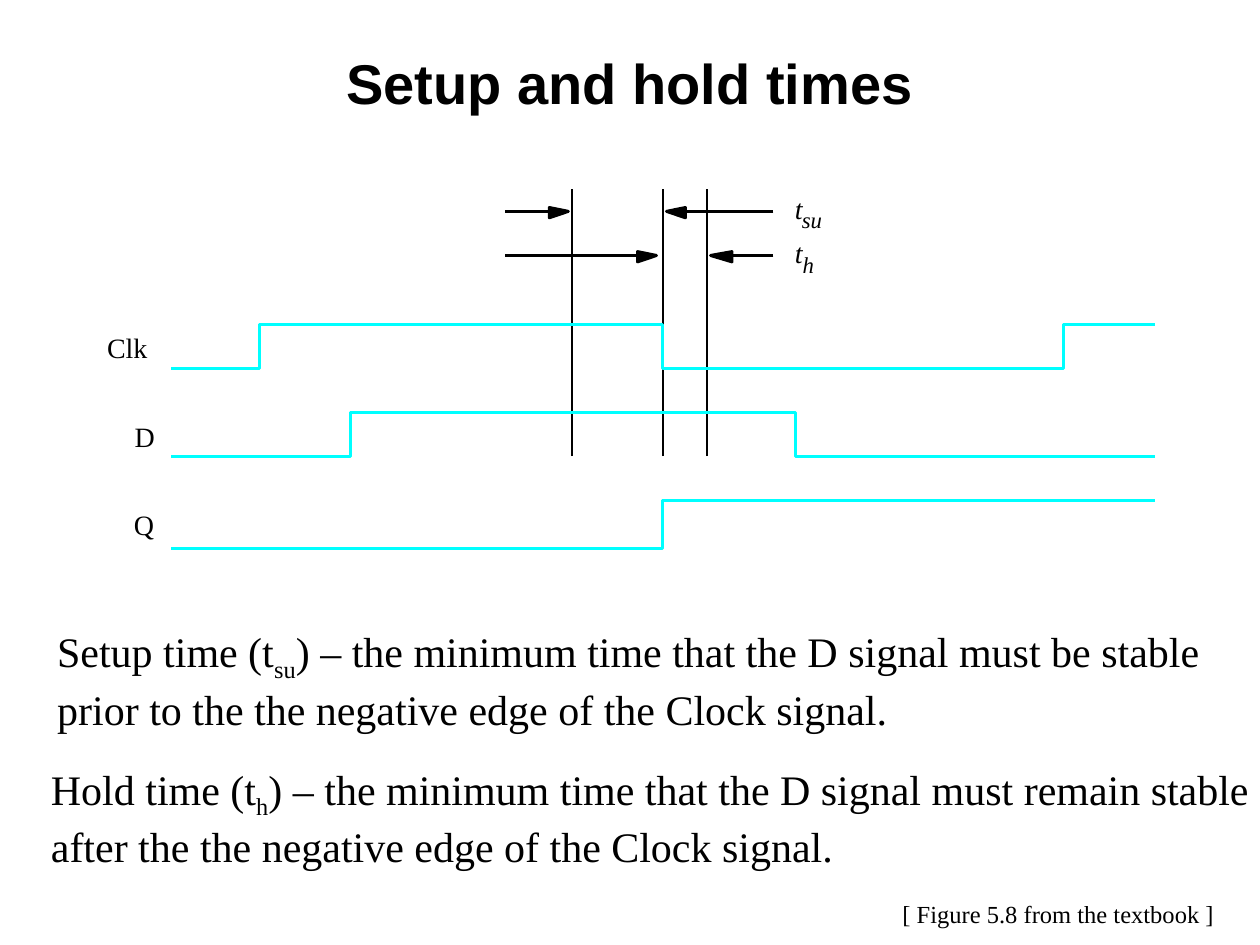
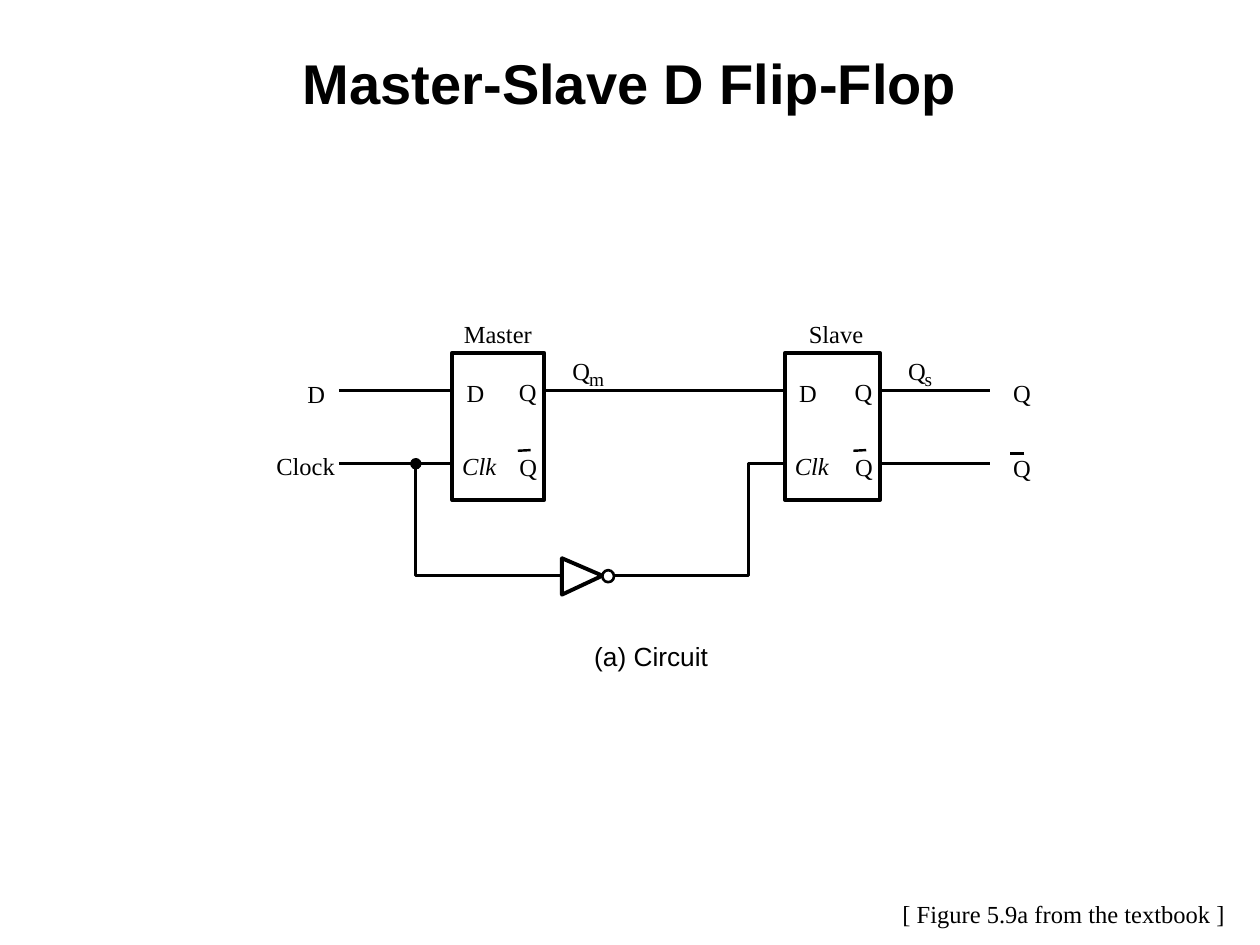
from lxml.etree import SubElement
from pptx import Presentation
from pptx.dml.color import RGBColor
from pptx.enum.shapes import MSO_CONNECTOR, MSO_SHAPE
from pptx.enum.text import MSO_AUTO_SIZE, PP_ALIGN
from pptx.oxml.ns import qn
from pptx.util import Pt

# Shared look
BLACK, WHITE, CYAN = "000000", "FFFFFF", "00FFFF"
SERIF, SANS = "Times New Roman", "Arial"
TITLE = {"name": SANS, "size": Pt(32), "bold": True}
BODY = {"name": SERIF, "size": Pt(24)}
SOURCE = {"name": SERIF, "size": Pt(14)}
SIGNAL = {"name": SERIF, "size": Pt(16)}
TIME = {**SIGNAL, "italic": True}
TIME_SUB = {**TIME, "size": Pt(13)}
PIN = {"name": SERIF, "size": Pt(14)}
CLOCK_PIN = {**PIN, "italic": True}
PIN_SUB = {**PIN, "size": Pt(11)}
CAPTION = {"name": SANS, "size": Pt(15)}
PADDING = (7.2, 3.6)

# Slide 1: timing diagram
WAVE_LEFT, WAVE_RIGHT = 98, 659.8
MARKERS = (326.8, 378.9, 404)
MARKER_TOP, MARKER_BOTTOM = 108, 260.6
# (tail x, head base x, head tip x, y)
TIME_ARROWS = [
    (442, 391.7, 380.9, 120.8), (288.7, 313.9, 324.7, 120.8),
    (442, 418.3, 406.1, 146), (288.7, 364.3, 375.1, 146),
]
# (edge x positions, high y, low y); each wave starts low
WAVES = [
    ((148.3, 378.7, 607.7), 185.4, 210.6),
    ((200.2, 454.5), 235.8, 260.6),
    ((378.7,), 286.2, 313.2),
]
# (text, left, top, width, format)
TIMING_LABELS = [
    ("t", 454.3, 109.4, 9.4, TIME), ("su", 458.2, 117.4, 13, TIME_SUB),
    ("t", 454.3, 134.6, 9.4, TIME), ("h", 458.6, 143.3, 10.8, TIME_SUB),
    ("Clk", 61.2, 189, 26.6, SIGNAL),
    ("D", 77, 239.8, 15.8, SIGNAL),
    ("Q", 76.5, 290.2, 16.6, SIGNAL),
]
# (left, top, width, (before, subscript, after), second line)
DEFINITIONS = [
    (25.6, 354, 667.4,
     ("Setup time (t", "su", ") – the minimum time that the D signal must be stable"),
     "prior to the the negative edge of the Clock signal."),
    (22, 432.6, 699.1,
     ("Hold time (t", "h", ") – the minimum time that the D signal must remain stable"),
     "after the the negative edge of the Clock signal."),
]

# Slide 2: circuit
D_ROW, CLOCK_ROW, INVERTER_ROW = 223, 265, 329
FLIP_FLOP_TOP, FLIP_FLOP_HEIGHT = 201.6, 84.2
# (name, name left, name width, left, right, output subscript, its width)
FLIP_FLOPS = [
    ("Master", 265, 46, 258.5, 311, "m", 13),
    ("Slave", 462.2, 38.2, 448.6, 502.8, "s", 7.9),
]
CLOCK_TAP, CLOCK_RISE, OUTPUT_END = 237.6, 427.7, 566
WIRES = [
    [(193.7, D_ROW), (258.5, D_ROW)],
    [(311, D_ROW), (448.6, D_ROW)],
    [(502.8, D_ROW), (OUTPUT_END, D_ROW)],
    [(502.8, CLOCK_ROW), (OUTPUT_END, CLOCK_ROW)],
    [(CLOCK_TAP, CLOCK_ROW), (258.5, CLOCK_ROW)],
    [(193.7, CLOCK_ROW), (CLOCK_TAP, CLOCK_ROW),
     (CLOCK_TAP, INVERTER_ROW), (321.1, INVERTER_ROW)],
    [(348.5, INVERTER_ROW), (CLOCK_RISE, INVERTER_ROW),
     (CLOCK_RISE, CLOCK_ROW), (448.6, CLOCK_ROW)],
]
INVERTER = [(344.2, INVERTER_ROW), (321.1, 339.8), (321.1, 319)]
CIRCUIT_LABELS = [
    ("D", 175.7, 216.7, 13.7, PIN), ("Clock", 157.9, 257.8, 38.9, PIN),
    ("Q", 578.9, 216, 14.4, PIN), ("Q", 578.9, 258.8, 14.4, PIN),
    ("(a) Circuit", 339.6, 365.8, 69.1, CAPTION),
]


def color(hex_value):
    return RGBColor.from_string(hex_value)


def set_format(font, values):
    for attribute, value in values.items():
        setattr(font, attribute, value)
    font.color.rgb = color(BLACK)


def add_text(slide, text, left, top, width, values, padding=(0, 0)):
    """Add an unwrapped text box with one line and return its text frame."""
    height = values["size"].pt * 1.18 + 2 * padding[1]
    frame = slide.shapes.add_textbox(Pt(left), Pt(top), Pt(width), Pt(height)).text_frame
    frame.word_wrap = False
    frame.auto_size = MSO_AUTO_SIZE.SHAPE_TO_FIT_TEXT
    frame.margin_left = frame.margin_right = Pt(padding[0])
    frame.margin_top = frame.margin_bottom = Pt(padding[1])
    add_run(frame.paragraphs[0], text, values)
    return frame


def add_run(paragraph, text, values):
    run = paragraph.add_run()
    run.text = text
    set_format(run.font, values)
    return run


def style(shape, fill, line, weight):
    shape.shadow.inherit = False
    if fill:
        shape.fill.solid()
        shape.fill.fore_color.rgb = color(fill)
    else:
        shape.fill.background()
    shape.line.color.rgb = color(line)
    shape.line.width = Pt(weight)


def add_preset(slide, preset, left, top, width, height, fill, weight):
    shape = slide.shapes.add_shape(preset, Pt(left), Pt(top), Pt(width), Pt(height))
    style(shape, fill, BLACK, weight)


def add_outline(slide, points, weight, fill=None, line=BLACK):
    """Draw a path; a filled path is closed."""
    first, *rest = [(Pt(x), Pt(y)) for x, y in points]
    builder = slide.shapes.build_freeform(*first, scale=1.0)
    builder.add_line_segments(rest, close=bool(fill))
    style(builder.convert_to_shape(), fill, line, weight)


def add_line(slide, start, end, weight):
    line = slide.shapes.add_connector(
        MSO_CONNECTOR.STRAIGHT, *[Pt(value) for value in (*start, *end)])
    line.line.color.rgb = color(BLACK)
    line.line.width = Pt(weight)
    SubElement(line._element.spPr, qn("a:effectLst"))


def add_slide(deck, title, title_height, source, source_width):
    slide = deck.slides.add_slide(deck.slide_layouts[6])
    frame = slide.shapes.add_textbox(0, Pt(24), Pt(720), Pt(title_height)).text_frame
    frame.word_wrap = True
    frame.paragraphs[0].alignment = PP_ALIGN.CENTER
    add_run(frame.paragraphs[0], title, TITLE)
    add_text(slide, source, 508.6, 510.2, source_width, SOURCE, PADDING)
    return slide


def draw_timing(slide):
    for x in MARKERS:
        add_line(slide, (x, MARKER_BOTTOM), (x, MARKER_TOP), 1.5)
    for tail, base, tip, y in TIME_ARROWS:
        add_outline(slide, [(base, y - 2.2), (tip, y), (base, y + 3.6)], 1.75, BLACK)
        add_line(slide, (tail, y), (base, y), 1.75)

    # Each edge switches the wave between low and high
    for edges, high, low in WAVES:
        points, level, other = [(WAVE_LEFT, low)], low, high
        for x in edges:
            points += [(x, level), (x, other)]
            level, other = other, level
        add_outline(slide, points + [(WAVE_RIGHT, level)], 1.75, line=CYAN)
    for label in TIMING_LABELS:
        add_text(slide, *label)

    for left, top, width, (before, subscript, after), second_line in DEFINITIONS:
        frame = add_text(slide, before, left, top, width, BODY, PADDING)
        term = frame.paragraphs[0]
        lowered = add_run(term, subscript, BODY)
        lowered.font._element.set("baseline", "-25000")
        add_run(term, after, BODY)
        add_run(frame.add_paragraph(), second_line, BODY)


def draw_circuit(slide):
    for name, name_left, name_width, left, right, subscript, sub_width in FLIP_FLOPS:
        add_preset(slide, MSO_SHAPE.RECTANGLE, left, FLIP_FLOP_TOP,
                   right - left, FLIP_FLOP_HEIGHT, WHITE, 2.25)
        for label in [
            (name, name_left, 182, name_width, PIN),
            ("D", left + 8.1, 216, 13.7, PIN),
            ("Clk", left + 5.6, 257.8, 22.3, CLOCK_PIN),
            ("Q", right - 14.4, 215.3, 14.4, PIN),
            ("Q", right - 14.2, 258.5, 14.4, PIN),
            ("Q", right + 16.1, 203.2, 14.4, PIN),
            (subscript, right + 25.6, 209.7, sub_width, PIN_SUB),
        ]:
            add_text(slide, *label)
        add_line(slide, (right - 7.8, 257.2), (right - 15.1, 257.6), 1.39)

    # Wires, output bar and clock junction
    for points in WIRES:
        if len(points) == 2:
            add_line(slide, *points, 1.5)
        else:
            add_outline(slide, points, 1.5)
    add_line(slide, (585.4, 259.2), (577.4, 259.2), 1.39)
    add_preset(slide, MSO_SHAPE.OVAL, 234.7, 262.1, 5.8, 5.8, BLACK, 0.75)

    # Inverter
    add_outline(slide, INVERTER, 2.25, WHITE)
    add_preset(slide, MSO_SHAPE.OVAL, 344.2, 325.8, 6.7, 6.9, WHITE, 1.5)
    for label in CIRCUIT_LABELS:
        add_text(slide, *label)


def main():
    deck = Presentation()
    deck.slide_width, deck.slide_height = Pt(720), Pt(540)
    draw_timing(add_slide(deck, "Setup and hold times", 54,
                          "[ Figure 5.8 from the textbook ]", 194))
    draw_circuit(add_slide(deck, "Master-Slave D Flip-Flop", 48.2,
                           "[ Figure 5.9a from the textbook ]", 200))
    deck.save("out.pptx")


if __name__ == "__main__":
    main()
